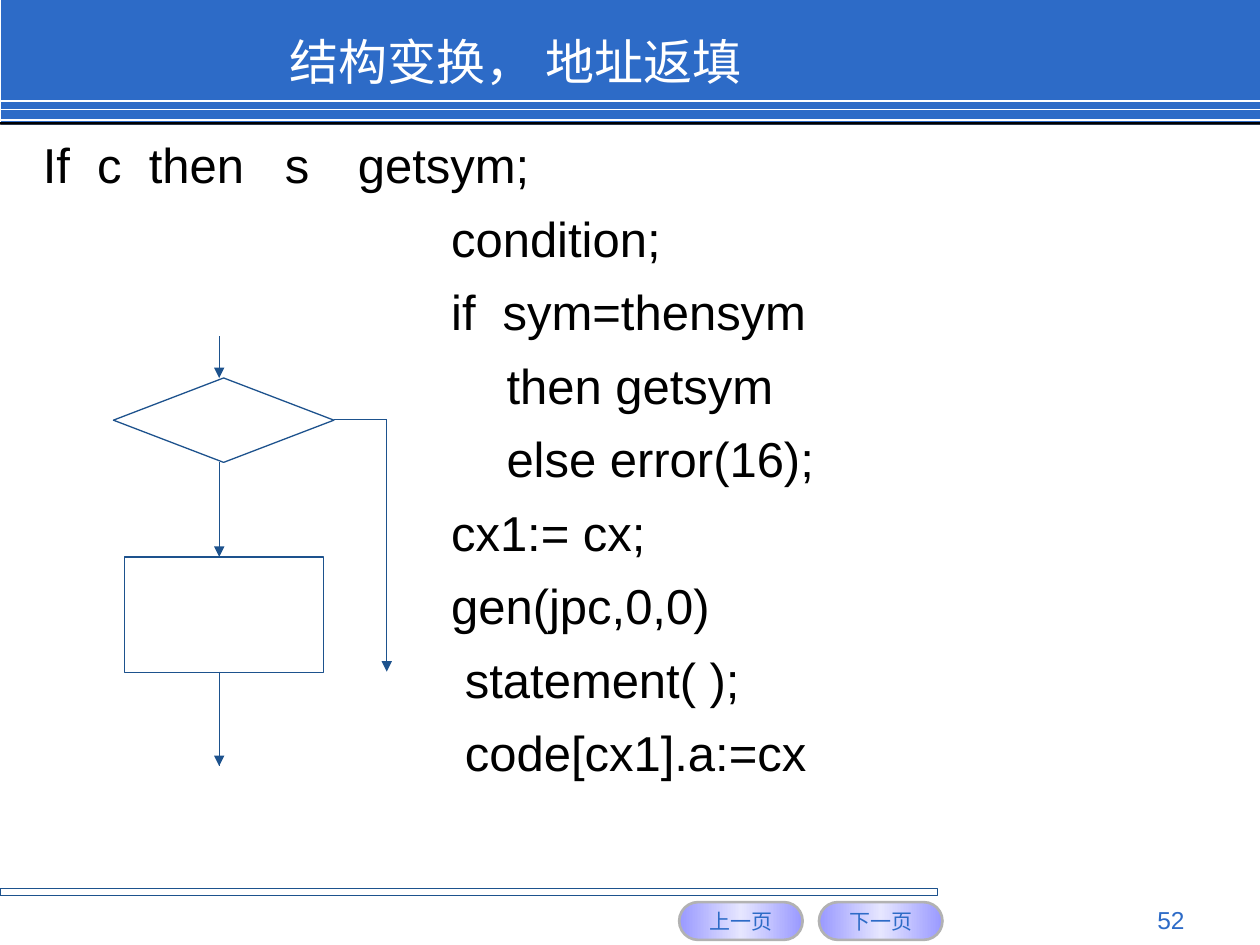
from copy import deepcopy

from pptx import Presentation
from pptx.dml.color import RGBColor
from pptx.enum.shapes import MSO_CONNECTOR, MSO_SHAPE
from pptx.enum.text import MSO_ANCHOR, MSO_AUTO_SIZE, PP_ALIGN
from pptx.oxml.ns import qn
from pptx.util import Inches, Pt
from lxml.etree import SubElement

COLORS = {"blue": "2D6BC7", "outline": "1D528D", "white": "FFFFFF", "black": "000000",
          "lilac": "9999FF", "pale": "E6E6FF", "gray": "B2B2B2"}

TITLE = "结构变换， 地址返填"
PAGE_NUMBER = "52"
BUTTONS = ["上一页", "下一页"]
CODE_COLUMN = 3.24
CODE_STEP = 0.11
# Text and number of steps right of the code column; None starts at the left margin.
CODE_LINES = [
    ("If  c  then   s\tgetsym;", None),
    ("condition;", 0),
    ("if  sym=thensym", 0),
    ("then getsym", 4),
    ("else error(16);", 4),
    ("cx1:= cx;", 0),
    ("gen(jpc,0,0)", 0),
    ("statement( );", 1),
    ("code[cx1].a:=cx", 1),
]
HEADER_RULES = [0.8, 0.87, 0.95]
FLOW_X, BRANCH_X = 1.74, 3.07
FLOW_BOXES = [
    (MSO_SHAPE.FLOWCHART_DECISION, (0.9, 3, 1.75, 0.67)),
    (MSO_SHAPE.RECTANGLE, (0.99, 4.42, 1.58, 0.92)),
]
# Start, end, arrowhead at the end
FLOW_LINES = [
    ((FLOW_X, 2.67), (FLOW_X, 3), True),
    ((FLOW_X, 3.67), (FLOW_X, 4.42), True),
    ((BRANCH_X, 3.33), (BRANCH_X, 5.33), True),
    ((FLOW_X, 5.33), (FLOW_X, 6.08), False),
    ((2.65, 3.33), (BRANCH_X, 3.33), False),
    ((FLOW_X, 5.83), (FLOW_X, 6.08), True),
]


def rgb(name):
    return RGBColor.from_string(COLORS[name])


def write(paragraph, text, size=28, color="black", align=PP_ALIGN.LEFT):
    paragraph.alignment = align
    run = paragraph.add_run()
    run.text = text
    run.font.size = Pt(size)
    run.font.name = "Arial"
    run.font.color.rgb = rgb(color)


def place(shape, left, top, width, height):
    shape.left, shape.top = Inches(left), Inches(top)
    shape.width, shape.height = Inches(width), Inches(height)


def add_box(slide, kind, box, fill=None, line=None, weight=0.75):
    shape = slide.shapes.add_shape(kind, *map(Inches, box))
    shape.shadow.inherit = False
    if fill:
        shape.fill.solid()
        shape.fill.fore_color.rgb = rgb(fill)
    else:
        shape.fill.background()
    if line:
        shape.line.color.rgb = rgb(line)
        shape.line.width = Pt(weight)
    else:
        shape.line.fill.background()
    return shape


def add_line(slide, start, end, color="outline", weight=0.75, arrow=False):
    connector = slide.shapes.add_connector(MSO_CONNECTOR.STRAIGHT, *map(Inches, start + end))
    connector.line.color.rgb = rgb(color)
    connector.line.width = Pt(weight)
    if arrow:
        SubElement(connector.line._get_or_add_ln(), qn("a:tailEnd"), type="triangle")
    SubElement(connector._element.spPr, qn("a:effectLst"))


def fill_with_sheen(shape):
    """Horizontal lilac gradient with a pale middle."""
    shape.fill.gradient()
    shape.fill.gradient_angle = 0
    stop_list = shape.fill.gradient_stops[0]._gs.getparent()
    stop_list.append(deepcopy(stop_list[-1]))
    for stop, color, position in zip(shape.fill.gradient_stops,
                                     ["lilac", "pale", "lilac"], [0, 0.5, 1]):
        stop.color.rgb = rgb(color)
        stop.position = position


def add_header(slide):
    add_box(slide, MSO_SHAPE.RECTANGLE, (0.01, 0, 9.99, 0.99), fill="blue")
    for y in HEADER_RULES:
        add_line(slide, (0, y), (10, y), color="white", weight=1)
    add_box(slide, MSO_SHAPE.RECTANGLE, (0, 0.97, 10, 0.02), fill="black")


def add_footer(slide):
    add_box(slide, MSO_SHAPE.RECTANGLE, (0, 7.05, 7.44, 0.06), line="outline")
    for index, label in enumerate(BUTTONS):
        button = add_box(slide, MSO_SHAPE.ROUNDED_RECTANGLE,
                         (5.39 + 1.11 * index, 7.16, 0.98, 0.3), line="gray", weight=1.5)
        button.adjustments[0] = 0.5
        fill_with_sheen(button)
        frame = button.text_frame
        frame.word_wrap = False
        frame.vertical_anchor = MSO_ANCHOR.MIDDLE
        write(frame.paragraphs[0], label, size=12, color="blue", align=PP_ALIGN.CENTER)
    number = slide.shapes.add_textbox(*map(Inches, (7.17, 7.13, 2.33, 0.27)))
    number.text_frame.word_wrap = True
    write(number.text_frame.paragraphs[0], PAGE_NUMBER, size=14, color="blue",
          align=PP_ALIGN.RIGHT)


def fill_title(title):
    place(title, 2.2, 0.21, 6.87, 0.55)
    title.text_frame.auto_size = MSO_AUTO_SIZE.NONE
    title.text_frame.vertical_anchor = MSO_ANCHOR.MIDDLE
    write(title.text_frame.paragraphs[0], TITLE, color="white")


def fill_body(body):
    place(body, 0.24, 0.97, 9.4, 6.15)
    frame = body.text_frame
    frame.auto_size = MSO_AUTO_SIZE.NONE
    frame.margin_top = Inches(0.1)
    for index, (text, steps) in enumerate(CODE_LINES):
        paragraph = frame.add_paragraph() if index else frame.paragraphs[0]
        properties = paragraph._p.get_or_add_pPr()
        indent = 0 if steps is None else CODE_COLUMN + steps * CODE_STEP
        properties.set("marL", str(Inches(indent)))
        properties.set("indent", "0")
        SubElement(properties, qn("a:buNone"))
        if "\t" in text:
            tabs = SubElement(properties, qn("a:tabLst"))
            SubElement(tabs, qn("a:tab"), pos=str(Inches(3.3)), algn="l")
        paragraph.space_before = Pt(8.4 if index else 0)
        write(paragraph, text)


def add_flowchart(slide):
    for kind, box in FLOW_BOXES:
        add_box(slide, kind, box, line="outline")
    for start, end, arrow in FLOW_LINES:
        add_line(slide, start, end, arrow=arrow)


def main():
    presentation = Presentation()
    presentation.slide_width, presentation.slide_height = Inches(10), Inches(7.5)
    slide = presentation.slides.add_slide(presentation.slide_layouts[1])
    title, body = slide.placeholders
    add_header(slide)
    add_footer(slide)
    fill_title(title)
    fill_body(body)
    for placeholder in (title, body):  # bring the text in front of the header
        slide.shapes._spTree.append(placeholder._element)
    add_flowchart(slide)
    presentation.save("out.pptx")


if __name__ == "__main__":
    main()
